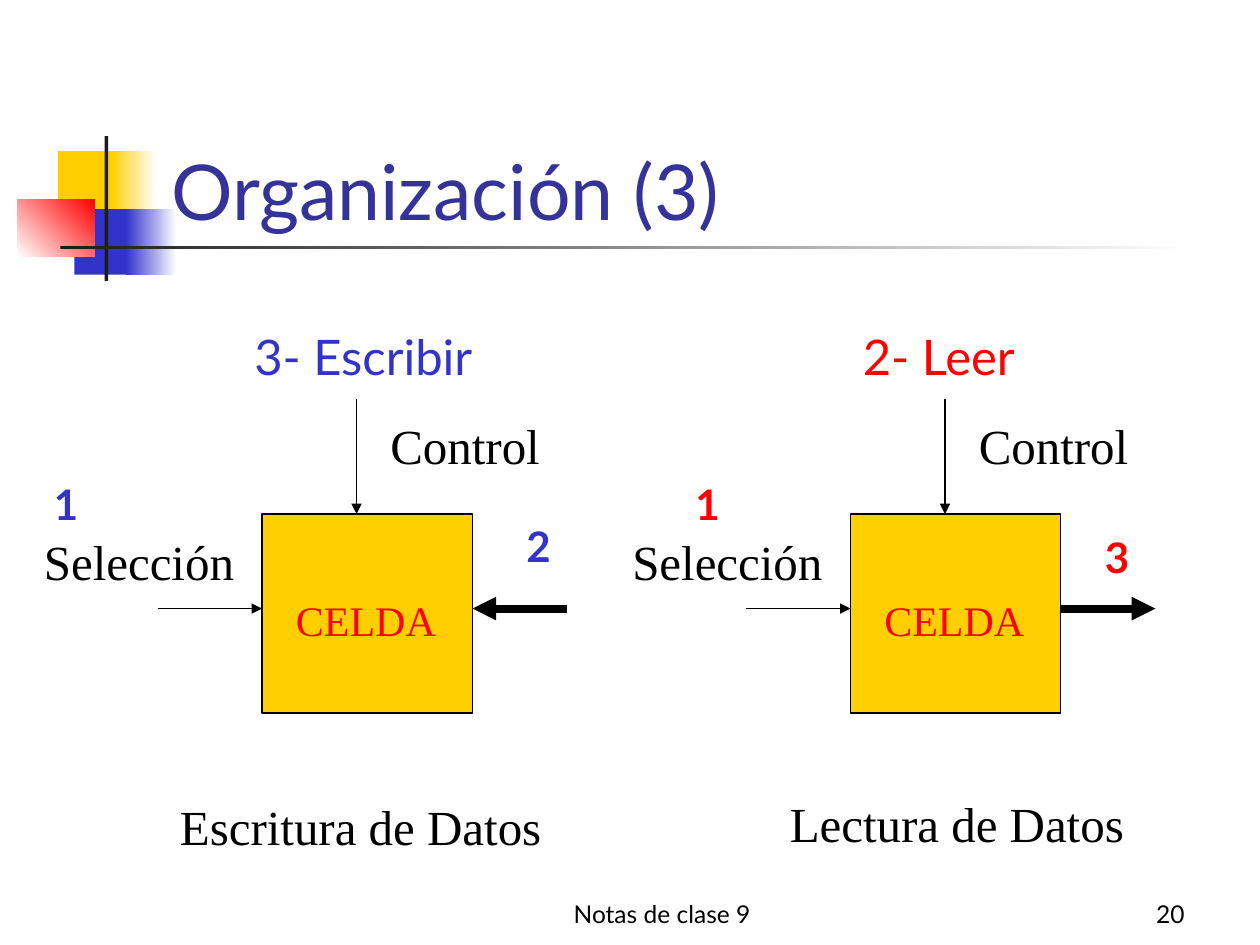
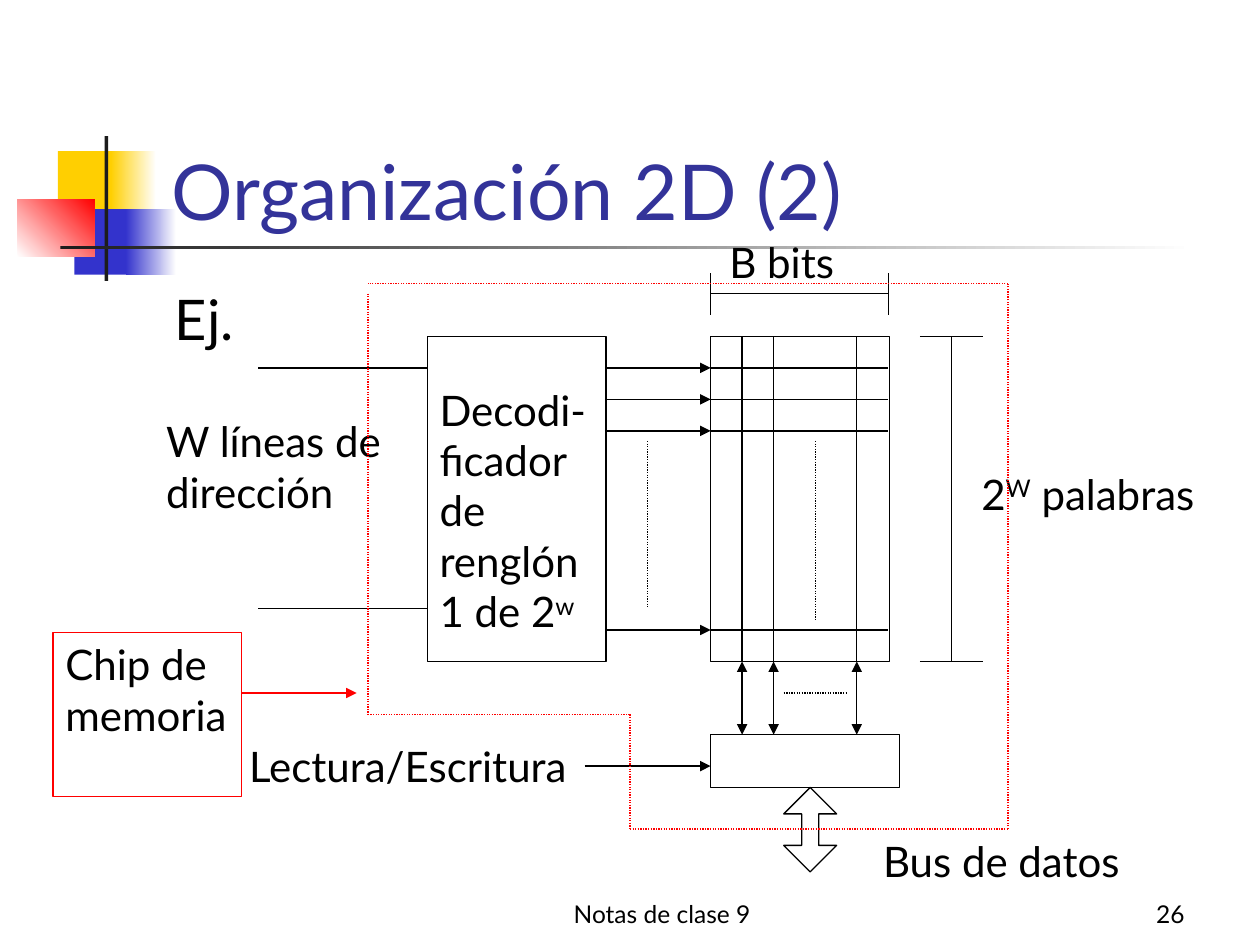
from lxml import etree
from pptx import Presentation, util as u
from pptx.dml.color import RGBColor
from pptx.enum import dml, shapes, text
from pptx.oxml.ns import qn

# Shared style; positions are in inches and turned into Cm by length()
BLACK, WHITE, RED, BLUE = "000000", "FFFFFF", "FF0000", "3333CC"
YELLOW, INDIGO, DARK = "FFCF01", "333399", "1C1C1C"
SANS, SERIF = "Lato", "Times New Roman"
LEFT, CENTER, RIGHT = text.PP_ALIGN.LEFT, text.PP_ALIGN.CENTER, text.PP_ALIGN.RIGHT
TOP, BOTTOM = text.MSO_ANCHOR.TOP, text.MSO_ANCHOR.BOTTOM
RECTANGLE = shapes.MSO_SHAPE.RECTANGLE

# Decoration: box, colours (two make a gradient), gradient angle
DECORATION = [
    ((0.46, 1.2, 0.48, 0.52), [YELLOW], 0),
    ((0.88, 1.2, 0.36, 0.52), [YELLOW, WHITE], 0),
    ((0.59, 1.66, 0.46, 0.52), [BLUE], 0),
    ((1, 1.66, 0.4, 0.52), [BLUE, WHITE], 0),
    ((0.14, 1.58, 0.61, 0.46), [WHITE, RED], 45),
    ((0.83, 1.08, 0.03, 1.15), [DARK], 0),
    ((0.48, 1.95, 9, 0.03), [DARK, WHITE], 0),
]
FOOTER = "Notas de clase 9"

# Slide 1: two memory cells, one written and one read
CELLS = [
    {"offset": 0, "color": BLUE, "data_heads": "start",
     "command": ("3- Escribir", (1.92, 2.54, 2, 0.79)),
     "caption": ("Escritura de Datos", (1.33, 6.27, 3.25, 0.57)),
     "steps": [("1", (0.33, 3.75, 0.67, 0.5)), ("2", (4.08, 4.08, 0.5, 0.5))]},
    {"offset": 4.67, "color": RED, "data_heads": "end",
     "command": ("2- Leer", (6.75, 2.54, 1.67, 0.71)),
     "caption": ("Lectura de Datos", (6.17, 6.25, 3, 0.57)),
     "steps": [("1", (5.42, 3.75, 0.5, 0.5)), ("3", (8.67, 4.17, 0.67, 0.5))]},
]
CELL_LABELS = [
    ("CELDA", (2.25, 4.67, 1.75, 0.5), 24, RED),
    ("Selección", (0.25, 4.17, 1.83, 0.57), 28, BLACK),
    ("Control", (3, 3.25, 1.83, 0.57), 28, BLACK),
]

# Slide 2: row decoder, memory matrix and chip outline
DECODER_LEFT, DECODER_RIGHT = 3.39, 4.8
MATRIX_LEFT, MATRIX_RIGHT = 5.64, 7.05
MATRIX_TOP, MATRIX_BOTTOM = 2.67, 5.25
BUFFER_TOP = 5.83
WORD_ROWS = [2.92, 3.17, 3.42, 5]
BIT_COLUMNS = [5.89, 6.14, 6.8]
ADDRESS_ROWS = [2.92, 4.83]
ELLIPSES = [((5.14, 3.5), (5.14, 4.83)), ((6.47, 3.5), (6.47, 4.92)),
            ((6.22, 5.5), (6.72, 5.5))]
CHIP_OUTLINE = [(2.92, 2.33), (2.92, 5.67), (5, 5.67), (5, 6.58),
                (8, 6.58), (8, 2.25), (2.92, 2.25)]
# A run is plain text or a (text, "super") pair
MEMORY_LABELS = [
    (["W líneas de dirección"], (1.22, 3.25, 2.17, 0.9)),
    (["Decodi-ficador de renglón 1 de 2", ("w", "super")], (3.39, 3, 1.42, 2.5)),
    (["2", ("W", "super"), " palabras"], (7.69, 3.67, 2.1, 0.5)),
    (["Bus de datos"], (6.91, 6.58, 2.22, 0.5)),
    (["Lectura/Escritura"], (1.88, 5.83, 2.87, 0.5)),
    (["B bits"], (5.69, 1.83, 1.07, 0.5)),
]


def length(inches):
    return u.Cm(inches * 2.54)


def rgb(color):
    return RGBColor.from_string(color)


def add_box(slide, box, fill=None, line=None, kind=RECTANGLE, angle=0):
    """Draw a preset shape; fill is a list of one or two colours."""
    shape = slide.shapes.add_shape(kind, *map(length, box))
    shape.shadow.inherit = False
    if not fill:
        shape.fill.background()
    elif len(fill) == 1:
        shape.fill.solid()
        shape.fill.fore_color.rgb = rgb(fill[0])
    else:
        shape.fill.gradient()
        shape.fill.gradient_angle = angle
        for stop, color in zip(shape.fill.gradient_stops, fill):
            stop.color.rgb = rgb(color)
    if line:
        shape.line.color.rgb = rgb(line)
        shape.line.width = u.Pt(0.75)
    else:
        shape.line.fill.background()
    return shape


def write(shape, runs, size, color=BLACK, font=SANS, bold=False, align=LEFT, anchor=TOP):
    frame = shape.text_frame
    frame.word_wrap = True
    frame.vertical_anchor = anchor
    paragraph = frame.paragraphs[0]
    paragraph.alignment = align
    for part in runs:
        raised = isinstance(part, tuple)
        run = paragraph.add_run()
        run.text = part[0] if raised else part
        run.font.name = font
        run.font.size = u.Pt(size)
        run.font.bold = bold
        run.font.color.rgb = rgb(color)
        if raised:
            run.font._element.set("baseline", "30000")


def add_text(slide, runs, box, size, **style):
    write(slide.shapes.add_textbox(*map(length, box)), runs, size, **style)


def add_line(slide, start, end, color=BLACK, width=0.75, heads="", dotted=False):
    """Draw a line; heads is "", "start", "end" or "both"."""
    line = slide.shapes.add_connector(shapes.MSO_CONNECTOR.STRAIGHT,
                                      *map(length, start + end))
    line.line.color.rgb = rgb(color)
    line.line.width = u.Pt(width)
    if dotted:
        line.line.dash_style = dml.MSO_LINE.ROUND_DOT
    outline = line.line._get_or_add_ln()
    for tag, place in (("a:headEnd", "start"), ("a:tailEnd", "end")):
        if heads in (place, "both"):
            etree.SubElement(outline, qn(tag), type="triangle")
    etree.SubElement(line._element.spPr, qn("a:effectLst"))


def add_slide(presentation, title, number):
    slide = presentation.slides.add_slide(presentation.slide_layouts[6])
    for box, colors, angle in DECORATION:
        add_box(slide, box, colors, angle=angle)
    add_text(slide, [FOOTER], (3.67, 6.92, 3.17, 0.5), 14, align=CENTER, anchor=BOTTOM)
    add_text(slide, [number], (7.42, 6.92, 2.08, 0.5), 14, align=RIGHT, anchor=BOTTOM)
    add_text(slide, [title], (1.26, 0.67, 8.52, 1.25), 44, color=INDIGO, anchor=BOTTOM)
    return slide


def draw_cell(slide, cell):
    offset = cell["offset"]

    def arrow(x1, y1, x2, y2, **style):
        add_line(slide, (x1 + offset, y1), (x2 + offset, y2), **style)

    # Cell with control, selection and data arrows
    add_box(slide, (2.08 + offset, 4.08, 1.67, 1.58), [YELLOW], BLACK)
    arrow(2.83, 3.17, 2.83, 4.08, heads="end")
    arrow(1.25, 4.83, 2.08, 4.83, heads="end")
    arrow(3.75, 4.83, 4.5, 4.83, width=4.5, heads=cell["data_heads"])
    for label, (left, *rest), size, color in CELL_LABELS:
        add_text(slide, [label], (left + offset, *rest), size, color=color, font=SERIF)

    # Command, caption and step numbers
    command, box = cell["command"]
    add_text(slide, [command], box, 28, color=cell["color"])
    caption, box = cell["caption"]
    add_text(slide, [caption], box, 28, font=SERIF)
    for step, box in cell["steps"]:
        add_text(slide, [step], box, 24, color=cell["color"], bold=True)


def draw_memory(slide):
    add_text(slide, ["Ej."], (1.29, 2.21, 8.5, 4.5), 32)

    # Decoder, matrix and read/write buffer
    for left in (DECODER_LEFT, MATRIX_LEFT):
        add_box(slide, (left, MATRIX_TOP, 1.42, 2.58), [WHITE], BLACK)
    add_box(slide, (MATRIX_LEFT, BUFFER_TOP, 1.5, 0.42), [WHITE], BLACK)

    # Word rows, bit columns and address lines
    for y in WORD_ROWS:
        add_line(slide, (MATRIX_LEFT, y), (MATRIX_RIGHT, y))
        add_line(slide, (DECODER_RIGHT, y), (MATRIX_LEFT, y), heads="end")
    for x in BIT_COLUMNS:
        add_line(slide, (x, MATRIX_TOP), (x, MATRIX_BOTTOM))
        add_line(slide, (x, MATRIX_BOTTOM), (x, BUFFER_TOP), heads="both")
    for y in ADDRESS_ROWS:
        add_line(slide, (2.05, y), (DECODER_LEFT, y))
    add_line(slide, (4.64, 6.08), (MATRIX_LEFT, 6.08), heads="end")
    for start, end in ELLIPSES:
        add_line(slide, start, end, dotted=True)

    # Dimension marks for words and bits
    for y in (MATRIX_TOP, MATRIX_BOTTOM):
        add_line(slide, (7.3, y), (7.8, y))
    add_line(slide, (7.55, MATRIX_TOP), (7.55, MATRIX_BOTTOM))
    for x in (MATRIX_LEFT, MATRIX_RIGHT):
        add_line(slide, (x, 2.17), (x, 2.5))
    add_line(slide, (MATRIX_LEFT, 2.33), (MATRIX_RIGHT, 2.33))

    # Data bus and labels
    bus = add_box(slide, (6.22, 6.25, 0.42, 0.67), [WHITE], BLACK,
                  shapes.MSO_SHAPE.UP_DOWN_ARROW)
    bus.adjustments[0], bus.adjustments[1] = 0.5, 0.32
    for runs, box in MEMORY_LABELS:
        add_text(slide, runs, box, 24)

    # Chip outline and its label
    for start, end in zip(CHIP_OUTLINE, CHIP_OUTLINE[1:]):
        add_line(slide, start, end, color=RED, dotted=True)
    chip = add_box(slide, (0.42, 5.02, 1.5, 1.3), line=RED)
    write(chip, ["Chip de memoria"], 24)
    add_line(slide, (1.92, 5.5), (2.83, 5.5), color=RED, heads="end")


def main():
    presentation = Presentation()
    presentation.slide_width, presentation.slide_height = length(10), length(7.5)
    slide = add_slide(presentation, "Organización (3)", "20")
    for cell in CELLS:
        draw_cell(slide, cell)
    draw_memory(add_slide(presentation, "Organización 2D (2)", "26"))
    presentation.save("out.pptx")


if __name__ == "__main__":
    main()
